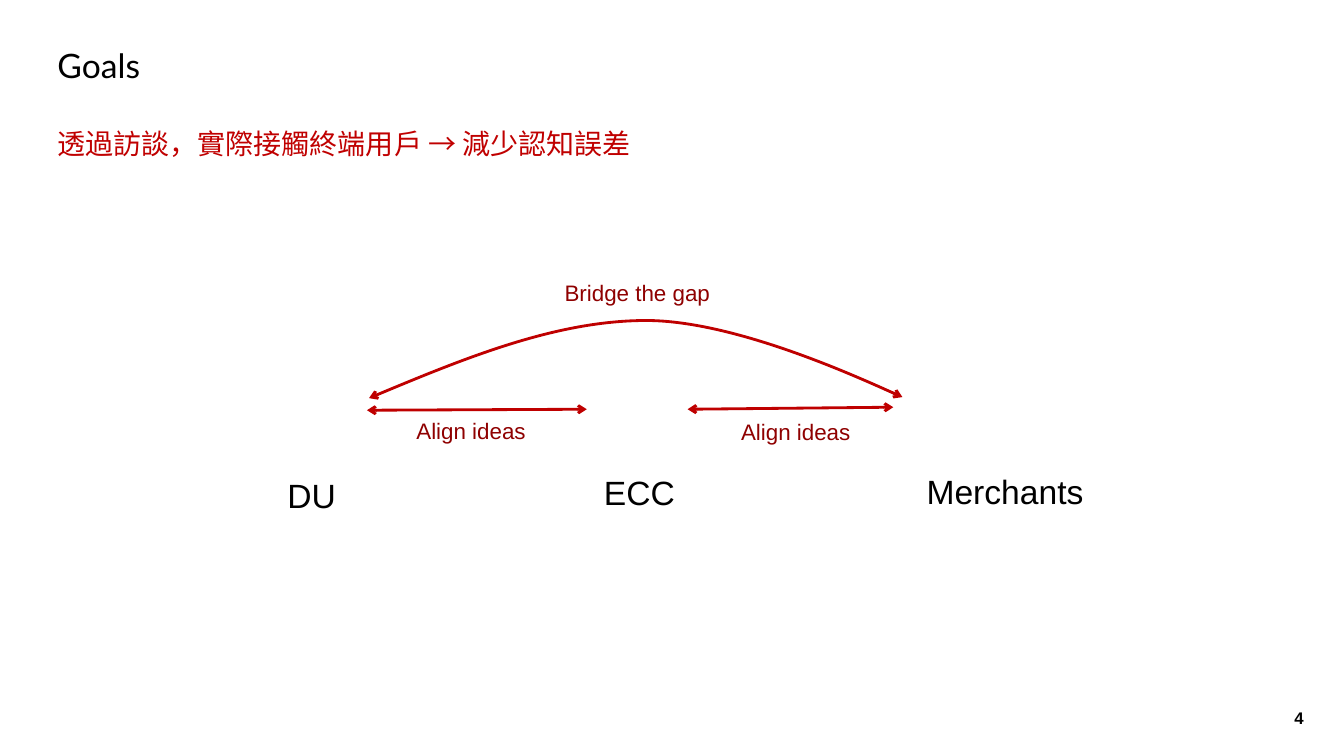
from itertools import islice

from lxml import etree
from pptx import Presentation
from pptx.dml.color import RGBColor
from pptx.enum.shapes import MSO_CONNECTOR as Link
from pptx.enum.text import MSO_ANCHOR as Anchor, MSO_AUTO_SIZE as Size, PP_ALIGN as Align
from pptx.oxml.ns import qn
from pptx.util import Inches, Pt

HUES = {"ink": "000000", "red": "C00000", "line": "BF0000", "label": "8F0000"}


def hue(name):
    return RGBColor.from_string(HUES[name])


def fill_text(shape, text, size, color="ink", font="Arial", bold=False,
              align=Align.LEFT, anchor=Anchor.TOP, pad=0.08, after=9,
              wrap=True, fit=Size.NONE):
    frame = shape.text_frame
    frame.word_wrap = wrap
    frame.auto_size = fit
    frame.vertical_anchor = anchor
    frame.margin_left = frame.margin_right = Inches(pad)
    frame.margin_top = frame.margin_bottom = Inches(pad)
    para = frame.paragraphs[0]
    para.alignment = align
    para.space_after = Pt(after)
    run = para.add_run()
    run.text = text
    run.font.name = font
    run.font.size = Pt(size)
    run.font.bold = bold
    run.font.color.rgb = hue(color)


def add_text(slide, box, text, size, **style):
    shape = slide.shapes.add_textbox(*map(Inches, box))
    fill_text(shape, text, size, **style)


def add_title(slide, text):
    title = slide.shapes.title
    title.left, title.top, title.width, title.height = map(
        Inches, (0.49, 0.35, 12.37, 0.59))
    fill_text(title, text, 24, font="Lato", anchor=Anchor.MIDDLE)


def style_line(shape):
    """Red line with an open arrowhead at both ends."""
    shape.line.color.rgb = hue("line")
    shape.line.width = Pt(2)
    ln = shape.line._get_or_add_ln()
    for end in ("a:headEnd", "a:tailEnd"):
        etree.SubElement(ln, qn(end), type="arrow")


def add_arrow(slide, start, end):
    line = slide.shapes.add_connector(Link.STRAIGHT, *map(Inches, start + end))
    style_line(line)
    etree.SubElement(line._element.spPr, qn("a:effectLst"))


def add_curve(slide, start, points):
    """Draw Bezier pieces; each takes three points after the start."""
    form = slide.shapes.build_freeform(*map(Inches, start), scale=1.0)
    form.add_line_segments([tuple(map(Inches, p)) for p in points], close=False)
    shape = form.convert_to_shape()
    track = shape._element.spPr.find(".//" + qn("a:path"))
    steps = iter(track.findall(qn("a:lnTo")))
    while trio := list(islice(steps, 3)):
        bend = etree.SubElement(track, qn("a:cubicBezTo"))
        for step in trio:
            bend.append(step[0])
            track.remove(step)
    shape.fill.background()
    shape.shadow.inherit = False
    style_line(shape)


def main():
    deck = Presentation()
    deck.slide_width, deck.slide_height = Inches(13.33), Inches(7.5)
    slide = deck.slides.add_slide(deck.slide_layouts[5])

    # Heading and slide number
    add_title(slide, "Goals")
    add_text(slide, (0.49, 1.13, 12.54, 0.59),
             "透過訪談，實際接觸終端用戶 → 減少認知誤差", 20,
             color="red", font="Lato", anchor=Anchor.MIDDLE, after=0)
    add_text(slide, (12.14, 6.97, 0.84, 0.31), "4", 12, bold=True,
             align=Align.RIGHT, anchor=Anchor.MIDDLE, pad=0.05, after=0)

    # Parties
    for left, top, width, name in ((2.77, 4.63, 0.74, "DU"),
                                   (5.91, 4.6, 1, "ECC"),
                                   (9.11, 4.59, 1.97, "Merchants")):
        add_text(slide, (left, top, width, 0.69), name, 24,
                 fit=Size.SHAPE_TO_FIT_TEXT)

    # Arrow labels
    for left, top, width, label in ((4.05, 4.06, 1.25, "Align ideas"),
                                    (5.52, 2.69, 1.62, "Bridge the gap"),
                                    (7.27, 4.07, 1.25, "Align ideas")):
        add_text(slide, (left, top, width, 0.55), label, 16, color="label",
                 wrap=False, fit=Size.SHAPE_TO_FIT_TEXT)

    # Links between the parties
    add_arrow(slide, (3.64, 4.07), (5.82, 4.06))
    add_arrow(slide, (6.82, 4.06), (8.86, 4.04))
    add_curve(slide, (3.66, 3.95),
              [(4.59, 3.56), (5.53, 3.18), (6.41, 3.18),
               (7.3, 3.18), (8.95, 3.94), (8.95, 3.94)])

    deck.save("out.pptx")


if __name__ == "__main__":
    main()
